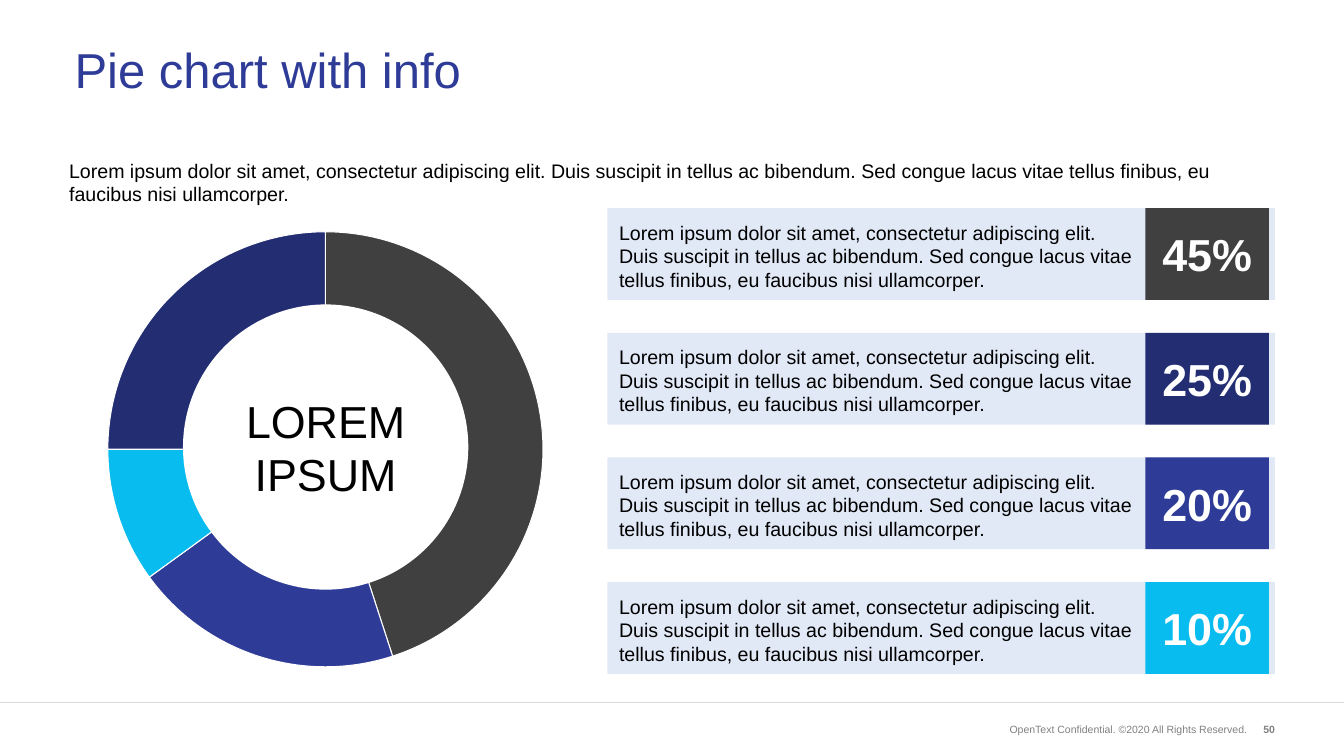
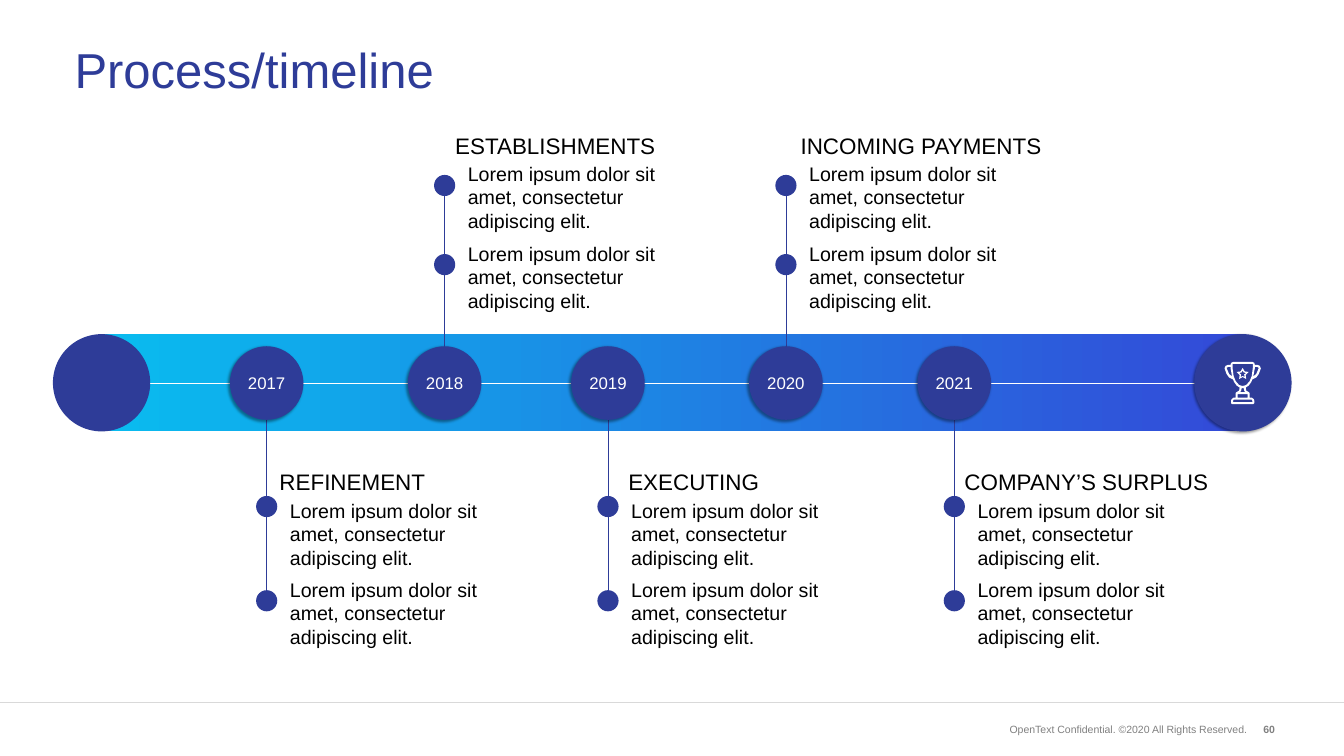
from dataclasses import dataclass
from math import cos, pi, sin

from lxml.etree import SubElement
from pptx import Presentation
from pptx.chart.data import CategoryChartData
from pptx.dml.color import RGBColor
from pptx.enum.chart import XL_CHART_TYPE
from pptx.enum.shapes import MSO_CONNECTOR, MSO_SHAPE
from pptx.enum.text import MSO_ANCHOR, MSO_AUTO_SIZE, PP_ALIGN
from pptx.oxml import parse_xml
from pptx.oxml.ns import nsdecls, qn
from pptx.util import Inches, Pt


@dataclass(frozen=True)
class Theme:
    font: str = "Arial"
    white: str = "FFFFFF"
    black: str = "000000"
    blue: str = "2E3C98"
    navy: str = "232D72"
    cyan: str = "09BCEF"
    violet: str = "334AD8"
    charcoal: str = "404040"
    pale: str = "E1E8F6"
    gray: str = "808080"
    rule: str = "D9D9D9"
    title_size: int = 70
    figure_size: int = 64
    heading_size: int = 32
    body_size: int = 28
    year_size: int = 24
    footer_size: int = 15


THEME = Theme()


@dataclass(frozen=True)
class TextStyle:
    size: int
    color: str = THEME.black
    bold: bool = False
    align: PP_ALIGN = PP_ALIGN.LEFT
    anchor: MSO_ANCHOR = MSO_ANCHOR.TOP
    inset: bool = False
    wrap: bool = True
    grow: bool = True
    spacing: float | None = None


@dataclass(frozen=True)
class Box:
    left: float
    top: float
    width: float
    height: float

    def lengths(self) -> list[int]:
        return [Inches(v) for v in (self.left, self.top, self.width, self.height)]


@dataclass(frozen=True)
class Share:
    percent: int
    color: str


@dataclass(frozen=True)
class Milestone:
    year: str
    heading: str
    center: float
    heading_left: float
    heading_width: float


@dataclass(frozen=True)
class Side:
    heading_top: float
    text_tops: tuple[float, float]
    dot_tops: tuple[float, float]
    line_start: float
    line_end: float


TITLE = TextStyle(THEME.title_size, THEME.blue, anchor=MSO_ANCHOR.MIDDLE,
                  inset=True, grow=False, spacing=0.9)
BODY = TextStyle(THEME.body_size)
CARD_BODY = TextStyle(THEME.body_size, anchor=MSO_ANCHOR.MIDDLE)
HEADING = TextStyle(THEME.heading_size, align=PP_ALIGN.CENTER, wrap=False)
FOOTER = TextStyle(THEME.footer_size, THEME.gray, align=PP_ALIGN.RIGHT,
                   anchor=MSO_ANCHOR.MIDDLE, inset=True)
PAGE_NUMBER = TextStyle(THEME.footer_size, THEME.gray, True, PP_ALIGN.RIGHT, inset=True)
CENTER_LABEL = TextStyle(THEME.figure_size, align=PP_ALIGN.CENTER,
                         anchor=MSO_ANCHOR.MIDDLE, inset=True, grow=False)
PERCENT = TextStyle(THEME.figure_size, THEME.white, True, PP_ALIGN.CENTER,
                    MSO_ANCHOR.MIDDLE, inset=True, grow=False)
YEAR = TextStyle(THEME.year_size, THEME.white, align=PP_ALIGN.CENTER,
                 anchor=MSO_ANCHOR.MIDDLE, grow=False)

SHORT_TEXT = "Lorem ipsum dolor sit amet, consectetur adipiscing elit."
LONG_TEXT = (SHORT_TEXT + " Duis suscipit in tellus ac bibendum. "
             "Sed congue lacus vitae tellus finibus, eu faucibus nisi ullamcorper.")

SHARES = [Share(45, THEME.charcoal), Share(20, THEME.blue),
          Share(10, THEME.cyan), Share(25, THEME.navy)]

ABOVE = Side(2.63, (3.21, 4.79), (3.47, 5.04), 3.7, 7.51)
BELOW = Side(9.29, (9.89, 11.46), (9.84, 11.71), 7.6, 11.75)
MILESTONES = [
    Milestone("2017", "REFINEMENT", 5.29, 5.53, 2.92),
    Milestone("2018", "ESTABLISHMENTS", 8.82, 9.01, 4.01),
    Milestone("2019", "EXECUTING", 12.06, 12.45, 2.62),
    Milestone("2020", "INCOMING PAYMENTS", 15.59, 15.86, 4.82),
    Milestone("2021", "COMPANY’S SURPLUS", 18.93, 19.11, 4.88),
]

TROPHY_WIDTH = 72
TROPHY_HALVES = [
    [(36, 0), (17, 0), (13, 2), (12, 6), (7, 6), (2, 8), (0, 13), (4, 24), (9, 31),
     (17, 35), (19, 40), (24, 47), (30, 51), (29, 57), (24, 60), (22, 62), (22, 71),
     (18, 71), (14, 74), (13, 77), (13, 82), (15, 84), (36, 84)],
    [(36, 4), (16, 4), (16, 13), (18, 28), (22, 38), (29, 46), (36, 48)],
    [(36, 52), (34, 52), (33, 57), (31, 60), (36, 60)],
    [(36, 64), (26, 64), (26, 71), (36, 71)],
    [(36, 75), (18, 75), (17, 77), (17, 80), (36, 80)],
]
TROPHY_HANDLE = [(4, 12), (7, 10), (12, 10), (12, 13), (15, 29), (9, 24)]


def write(shape, text: str, style: TextStyle) -> None:
    frame = shape.text_frame
    frame.word_wrap = style.wrap
    frame.auto_size = MSO_AUTO_SIZE.SHAPE_TO_FIT_TEXT if style.grow else MSO_AUTO_SIZE.NONE
    frame.vertical_anchor = style.anchor
    if not style.inset:
        frame.margin_left = frame.margin_right = frame.margin_top = frame.margin_bottom = 0
    paragraph = frame.paragraphs[0]
    paragraph.alignment = style.align
    if style.spacing:
        paragraph.line_spacing = style.spacing
    run = paragraph.add_run()
    run.text = text
    run.font.name = THEME.font
    run.font.size = Pt(style.size)
    run.font.bold = style.bold
    run.font.color.rgb = RGBColor.from_string(style.color)


def add_text(shapes, box: Box, text: str, style: TextStyle) -> None:
    write(shapes.add_textbox(*box.lengths()), text, style)


def paint(shape, color: str) -> None:
    shape.shadow.inherit = False
    shape.fill.solid()
    shape.fill.fore_color.rgb = RGBColor.from_string(color)
    shape.line.fill.background()


def add_filled(shapes, kind: MSO_SHAPE, box: Box, color: str):
    shape = shapes.add_shape(kind, *box.lengths())
    paint(shape, color)
    return shape


def add_shadow(shape) -> None:
    effects = shape._element.spPr.find(qn("a:effectLst"))
    effects.append(parse_xml(
        f'<a:outerShdw {nsdecls("a")} blurRad="{Pt(4)}" dist="{Pt(3)}" dir="8100000" '
        f'algn="tr" rotWithShape="0"><a:srgbClr val="{THEME.black}">'
        '<a:alpha val="40000"/></a:srgbClr></a:outerShdw>'))


def add_line(shapes, start: tuple[float, float], end: tuple[float, float],
             color: str, width: float) -> None:
    line = shapes.add_connector(MSO_CONNECTOR.STRAIGHT,
                                *(Inches(value) for value in start + end))
    line.line.color.rgb = RGBColor.from_string(color)
    line.line.width = Pt(width)
    SubElement(line._element.spPr, qn("a:effectLst"))


def add_outline(shapes, contours: list, left: float, top: float) -> None:
    builder = shapes.build_freeform(*contours[0][0], scale=Inches(0.01))
    builder.add_line_segments(contours[0][1:])
    for contour in contours[1:]:
        builder.move_to(*contour[0])
        builder.add_line_segments(contour[1:])
    paint(builder.convert_to_shape(Inches(left), Inches(top)), THEME.white)


def mirror(points: list) -> list:
    return [(TROPHY_WIDTH - x, y) for x, y in reversed(points)]


def star(radius: float) -> list:
    points = []
    for step in range(10):
        reach = radius if step % 2 == 0 else radius / 2
        angle = step * pi / 5
        points.append((36 + reach * sin(angle), 24 - reach * cos(angle)))
    return points


def add_slide(presentation, title: str, number: int):
    slide = presentation.slides.add_slide(presentation.slide_layouts[6])
    shapes = slide.shapes
    add_text(shapes, Box(19.47, 14.3, 5.37, 0.35),
             "OpenText Confidential. ©2020 All Rights Reserved.", FOOTER)
    add_text(shapes, Box(24.68, 14.3, 0.71, 0.35), str(number), PAGE_NUMBER)
    add_line(shapes, (0, 13.94), (26.66, 13.94), THEME.rule, 1)
    add_text(shapes, Box(1.38, 0.38, 23.91, 2.12), title, TITLE)
    return slide


def add_pie(shapes) -> None:
    data = CategoryChartData()
    data.categories = [str(index) for index in range(1, len(SHARES) + 1)]
    data.add_series("Series 1", [share.percent for share in SHARES])
    chart = shapes.add_chart(XL_CHART_TYPE.PIE, *Box(1.06, 4.37, 10.79, 9).lengths(), data).chart
    chart.has_legend = False
    chart.has_title = False
    chart.font.name = THEME.font
    chart.font.size = Pt(10)
    chart.font.color.rgb = RGBColor.from_string(THEME.black)
    plot = chart.plots[0]
    plot.vary_by_categories = True
    for index, share in enumerate(SHARES):
        slice_format = plot.series[0].points[index].format
        slice_format.fill.solid()
        slice_format.fill.fore_color.rgb = RGBColor.from_string(share.color)
        slice_format.line.color.rgb = RGBColor.from_string(THEME.white)
        slice_format.line.width = Pt(1.5)
    area = chart._chartSpace.chart.plotArea
    for layout in area.findall(qn("c:layout")):
        area.remove(layout)
    area.insert(0, parse_xml(
        f'<c:layout {nsdecls("c")}><c:manualLayout><c:layoutTarget val="inner"/>'
        '<c:xMode val="edge"/><c:yMode val="edge"/><c:x val="0.1"/><c:y val="0.02"/>'
        '<c:w val="0.8"/><c:h val="0.97"/></c:manualLayout></c:layout>'))


def build_pie_slide(presentation) -> None:
    shapes = add_slide(presentation, "Pie chart with info", 50).shapes
    add_text(shapes, Box(1.37, 3.15, 23.91, 0.98), LONG_TEXT, BODY)
    add_pie(shapes)
    hole = add_filled(shapes, MSO_SHAPE.OVAL, Box(3.63, 6.04, 5.66, 5.66), THEME.white)
    write(hole, "LOREM IPSUM", CENTER_LABEL)
    ranked = sorted(SHARES, key=lambda share: -share.percent)
    pitch = (11.55 - 4.13) / (len(ranked) - 1)
    for index, share in enumerate(ranked):
        top = 4.13 + index * pitch
        add_filled(shapes, MSO_SHAPE.RECTANGLE, Box(12.05, top, 13.24, 1.82), THEME.pale)
        badge = add_filled(shapes, MSO_SHAPE.RECTANGLE, Box(22.72, top, 2.45, 1.82), share.color)
        write(badge, f"{share.percent}%", PERCENT)
        add_text(shapes, Box(12.28, top + 0.24, 10.27, 1.41), LONG_TEXT, CARD_BODY)


def add_milestone(shapes, milestone: Milestone, side: Side) -> None:
    center = milestone.center
    add_line(shapes, (center, side.line_start), (center, side.line_end), THEME.blue, 0.5)
    for top in side.dot_tops:
        add_filled(shapes, MSO_SHAPE.OVAL, Box(center - 0.21, top, 0.42, 0.42), THEME.blue)
    circle = add_filled(shapes, MSO_SHAPE.OVAL, Box(center - 0.73, 6.87, 1.46, 1.46), THEME.blue)
    add_shadow(circle)
    write(circle, milestone.year, YEAR)
    for top in side.text_tops:
        add_text(shapes, Box(center + 0.46, top, 4.45, 1.41), SHORT_TEXT, BODY)
    add_text(shapes, Box(milestone.heading_left, side.heading_top, milestone.heading_width, 0.54),
             milestone.heading, HEADING)


def build_timeline_slide(presentation) -> None:
    shapes = add_slide(presentation, "Process/timeline", 60).shapes
    bar = add_filled(shapes, MSO_SHAPE.RECTANGLE, Box(1.97, 6.63, 22.68, 1.93), THEME.cyan)
    bar.fill.gradient()
    bar.fill.gradient_angle = 0
    for stop, color in zip(bar.fill.gradient_stops, (THEME.cyan, THEME.violet)):
        stop.color.rgb = RGBColor.from_string(color)
    add_line(shapes, (1.05, 7.6), (25.62, 7.6), THEME.white, 0.5)
    award = shapes.add_group_shape().shapes
    add_shadow(add_filled(award, MSO_SHAPE.OVAL, Box(23.69, 6.63, 1.93, 1.93), THEME.blue))
    cup = [half + mirror(half) for half in TROPHY_HALVES]
    add_outline(award, cup + [TROPHY_HANDLE, mirror(TROPHY_HANDLE)], 24.29, 7.18)
    add_outline(award, [star(12.5), star(7)], 24.29, 7.18)
    add_filled(shapes, MSO_SHAPE.OVAL, Box(1.05, 6.63, 1.93, 1.93), THEME.blue)
    for index, milestone in enumerate(MILESTONES):
        add_milestone(shapes, milestone, ABOVE if index % 2 else BELOW)


def main() -> None:
    presentation = Presentation()
    presentation.slide_width = Inches(26.66)
    presentation.slide_height = Inches(15)
    build_pie_slide(presentation)
    build_timeline_slide(presentation)
    presentation.save("out.pptx")


if __name__ == "__main__":
    main()
